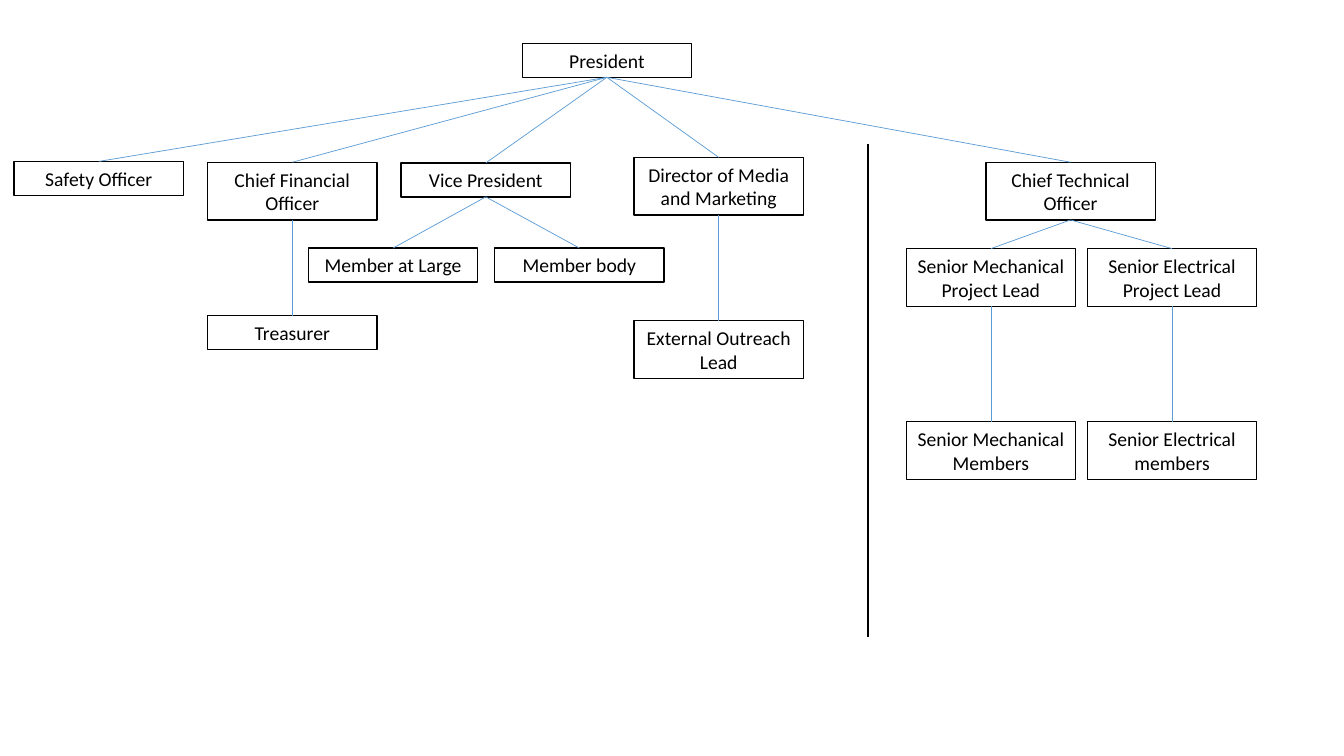
"""Builds a one-slide organisation chart of a student team."""
from lxml import etree
from pptx import Presentation
from pptx.dml.color import RGBColor
from pptx.enum import shapes, text
from pptx.oxml import ns
from pptx.util import Pt

COLORS = {"paper": "FFFFFF", "ink": "000000", "link": "5B9BD5"}
FONT = {"name": "Calibri", "size": Pt(14)}
FRAME = {"word_wrap": True, "auto_size": text.MSO_AUTO_SIZE.SHAPE_TO_FIT_TEXT,
         "vertical_anchor": text.MSO_ANCHOR.MIDDLE}

SLIDE_SIZE = (960, 540)
ROLE_WIDTH = 121
ROLE_HEIGHTS = {1: 24.24, 2: 41.2}
DIVIDER = (619.9, 103.2, 619.9, 455)

# role: (left, top, lines of text, role above)
ROLES = {
    "President": (373, 31, 1, None),
    "Safety Officer": (10.1, 115.3, 1, "President"),
    "Chief Financial Officer": (148.3, 115.9, 2, "President"),
    "Vice President": (286.5, 116.4, 1, "President"),
    "Director of Media and Marketing": (452.9, 112.4, 2, "President"),
    "Chief Technical Officer": (704.2, 115.9, 2, "President"),
    "Treasurer": (148.3, 225.4, 1, "Chief Financial Officer"),
    "Member at Large": (220.3, 177.2, 1, "Vice President"),
    "Member body": (353.4, 177.2, 1, "Vice President"),
    "External Outreach Lead": (452.9, 229, 2, "Director of Media and Marketing"),
    "Senior Mechanical Project Lead": (647.3, 177.6, 2, "Chief Technical Officer"),
    "Senior Electrical Project Lead": (776.7, 177.6, 2, "Chief Technical Officer"),
    "Senior Mechanical Members": (647.3, 301.2, 2, "Senior Mechanical Project Lead"),
    "Senior Electrical members": (776.7, 301.2, 2, "Senior Electrical Project Lead"),
}


def rgb(name):
    return RGBColor.from_string(COLORS[name])


def apply(target, values):
    for key, value in values.items():
        setattr(target, key, value)


def add_role(slide, role, left, top, lines):
    box = slide.shapes.add_shape(
        shapes.MSO_SHAPE.RECTANGLE,
        *map(Pt, (left, top, ROLE_WIDTH, ROLE_HEIGHTS[lines])))
    box.shadow.inherit = False
    box.fill.solid()
    box.fill.fore_color.rgb = rgb("paper")
    box.line.color.rgb = rgb("ink")
    box.line.width = Pt(1)
    apply(box.text_frame, FRAME)
    label = box.text_frame.paragraphs[0]
    label.text = role
    label.alignment = text.PP_ALIGN.CENTER
    apply(label.font, FONT)
    label.font.color.rgb = rgb("ink")
    return box


def add_line(slide, ends, color, width):
    line = slide.shapes.add_connector(shapes.MSO_CONNECTOR.STRAIGHT, *map(Pt, ends))
    line.line.color.rgb = rgb(color)
    line.line.width = Pt(width)
    etree.SubElement(line._element.spPr, ns.qn("a:effectLst"))
    return line


def main():
    deck = Presentation()
    deck.slide_width, deck.slide_height = map(Pt, SLIDE_SIZE)
    slide = deck.slides.add_slide(deck.slide_layouts[6])
    boxes = {role: add_role(slide, role, *place)
             for role, (*place, _) in ROLES.items()}
    for role, (*_, above) in ROLES.items():
        if above:
            link = add_line(slide, (0, 0, 0, 0), "link", 0.5)
            link.begin_connect(boxes[above], 2)
            link.end_connect(boxes[role], 0)
    add_line(slide, DIVIDER, "ink", 1)
    deck.save("out.pptx")


if __name__ == "__main__":
    main()
